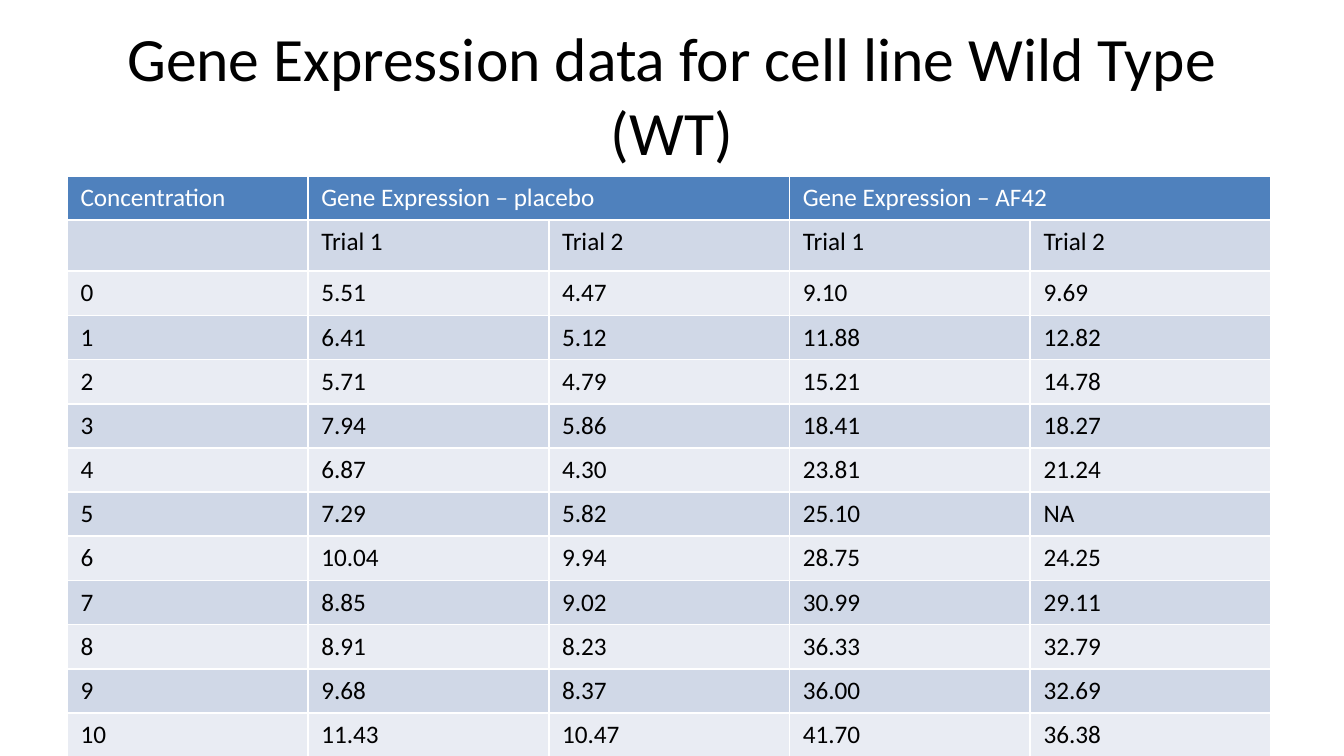
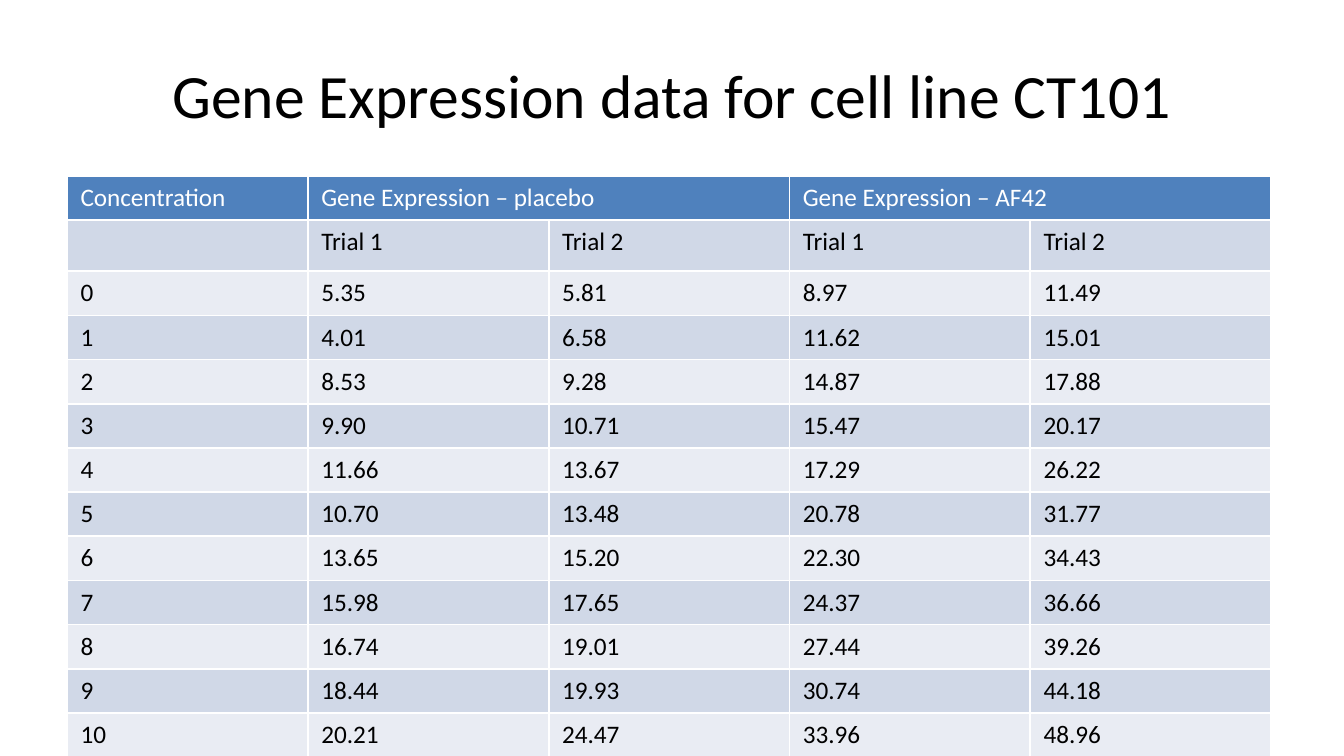
import lxml.etree
import pptx
import pptx.dml.color
import pptx.enum.text
import pptx.oxml.ns
import pptx.util

Pt = pptx.util.Pt
BLACK, WHITE = "000000", "FFFFFF"
HEADER_FILL = "4F81BD"
BAND_FILLS = ("E9ECF3", "D0D8E7")
COLUMN_WIDTH = 129
ROW_HEIGHT = 23.67
TRIAL_ROW_HEIGHT = 27.3
TITLE_FORMAT = {"name": "Calibri", "size": Pt(33), "bold": False}
CELL_FORMAT = {"name": "Calibri", "size": Pt(13.5), "bold": False}

HEADINGS = [
    ["Concentration", "Gene Expression – placebo", "", "Gene Expression – AF42", ""],
    ["", "Trial 1", "Trial 2", "Trial 1", "Trial 2"],
]
WILD_TYPE = [
    "5.51 4.47 9.10 9.69",
    "6.41 5.12 11.88 12.82",
    "5.71 4.79 15.21 14.78",
    "7.94 5.86 18.41 18.27",
    "6.87 4.30 23.81 21.24",
    "7.29 5.82 25.10 NA",
    "10.04 9.94 28.75 24.25",
    "8.85 9.02 30.99 29.11",
    "8.91 8.23 36.33 32.79",
    "9.68 8.37 36.00 32.69",
    "11.43 10.47 41.70 36.38",
]
CT101 = [
    "5.35 5.81 8.97 11.49",
    "4.01 6.58 11.62 15.01",
    "8.53 9.28 14.87 17.88",
    "9.90 10.71 15.47 20.17",
    "11.66 13.67 17.29 26.22",
    "10.70 13.48 20.78 31.77",
    "13.65 15.20 22.30 34.43",
    "15.98 17.65 24.37 36.66",
    "16.74 19.01 27.44 39.26",
    "18.44 19.93 30.74 44.18",
    "20.21 24.47 33.96 48.96",
]


def set_color(color_format, value):
    color_format.rgb = pptx.dml.color.RGBColor.from_string(value)


def write_text(para, text, formats, color):
    span = para.add_run()
    span.text = text
    for name, value in formats.items():
        setattr(span.font, name, value)
    span.font.fill.solid()
    set_color(span.font.fill.fore_color, color)


def add_title(page, text):
    box = page.shapes.add_textbox(Pt(36), Pt(16.5), Pt(648), Pt(67.5))
    frame = box.text_frame
    frame.word_wrap = True
    frame.vertical_anchor = pptx.enum.text.MSO_ANCHOR.MIDDLE
    para = frame.paragraphs[0]
    para.alignment = pptx.enum.text.PP_ALIGN.CENTER
    write_text(para, text, TITLE_FORMAT, BLACK)


def add_borders(cell):
    properties = cell._tc.get_or_add_tcPr()
    qualify = pptx.oxml.ns.qn
    for side in ("L", "R", "T", "B"):
        line = lxml.etree.SubElement(properties, qualify(f"a:ln{side}"), w=str(Pt(0.96)))
        fill = lxml.etree.SubElement(line, qualify("a:solidFill"))
        lxml.etree.SubElement(fill, qualify("a:srgbClr"), val=WHITE)


def format_cell(cell, text, fill, color):
    add_borders(cell)
    cell.fill.solid()
    set_color(cell.fill.fore_color, fill)
    if text:
        write_text(cell.text_frame.paragraphs[0], text, CELL_FORMAT, color)
    else:
        cell.margin_top = cell.margin_bottom = 0


def add_expression_table(page, measurements):
    rows = HEADINGS + [[str(level), *line.split()] for level, line in enumerate(measurements)]
    count = len(rows[0])
    height = ROW_HEIGHT * (len(rows) - 1) + TRIAL_ROW_HEIGHT
    table = page.shapes.add_table(
        len(rows), count, Pt(36), Pt(94.3), Pt(COLUMN_WIDTH * count), Pt(height)
    ).table
    for column in table.columns:
        column.width = Pt(COLUMN_WIDTH)
    for index, texts in enumerate(rows):
        table.rows[index].height = Pt(TRIAL_ROW_HEIGHT if index == 1 else ROW_HEIGHT)
        fill = BAND_FILLS[index % 2] if index else HEADER_FILL
        color = BLACK if index else WHITE
        for position, text in enumerate(texts):
            format_cell(table.cell(index, position), text, fill, color)
    for start in (1, 3):
        table.cell(0, start).merge(table.cell(0, start + 1))


def main():
    deck = pptx.Presentation()
    deck.slide_width, deck.slide_height = Pt(720), Pt(405)
    for cell_line, measurements in (("Wild Type (WT)", WILD_TYPE), ("CT101", CT101)):
        page = deck.slides.add_slide(deck.slide_layouts[6])
        add_title(page, f"Gene Expression data for cell line {cell_line}")
        add_expression_table(page, measurements)
    deck.save("out.pptx")


if __name__ == "__main__":
    main()
